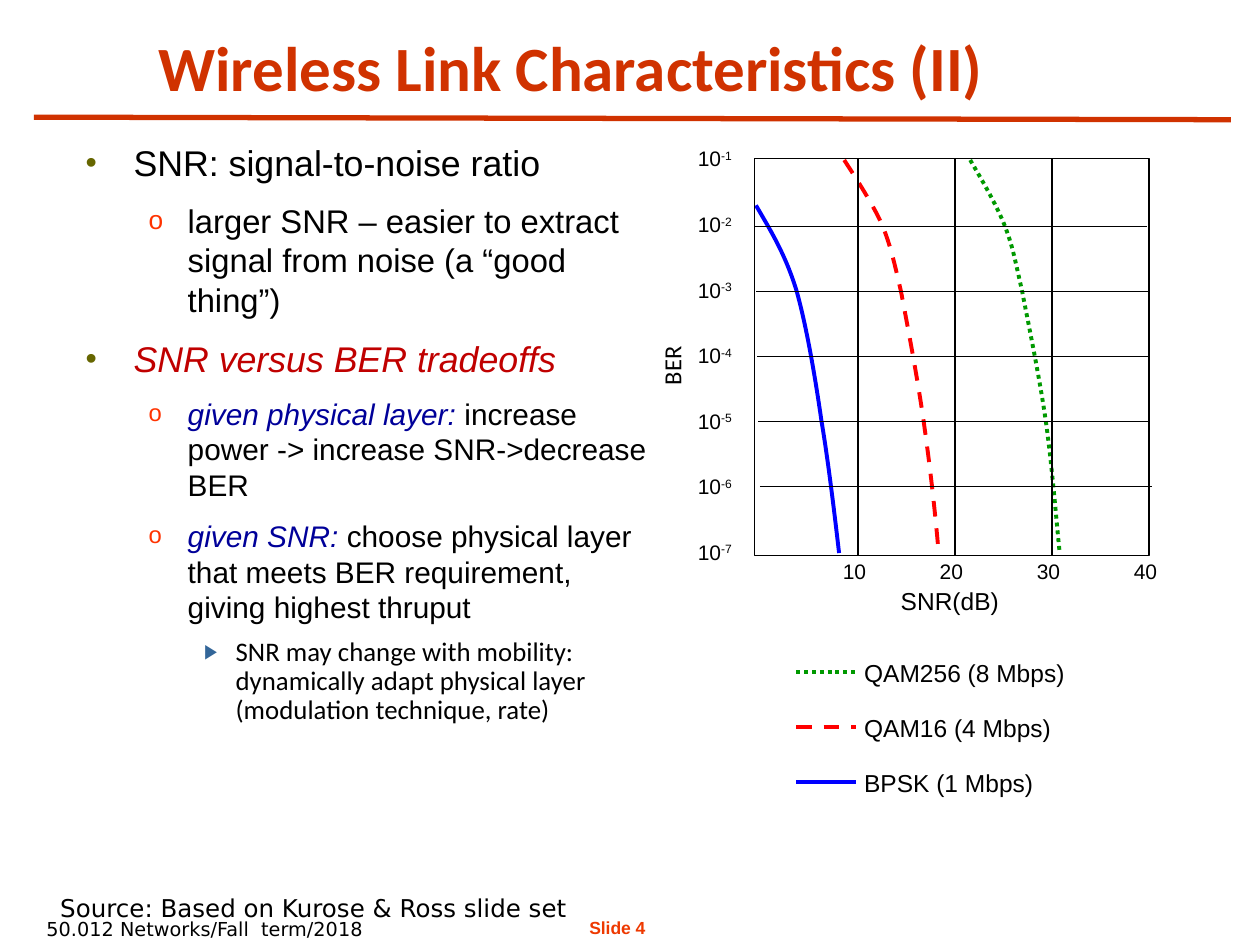
from dataclasses import dataclass
from pptx import Presentation, util as u
from pptx.dml.color import RGBColor
from pptx.enum import dml, shapes, text
from pptx.oxml.ns import qn
from lxml import etree

SCALE = 9144  # EMU in one px, 100 px to the inch


@dataclass(frozen=True)
class Theme:
    sans: str = "Arial"
    heading: str = "Calibri"
    footer: str = "DejaVu Sans"
    ink: str = "000000"
    title: str = "D03200"
    slide_no: str = "EE3900"
    stress: str = "C00000"
    term: str = "000099"
    title_size: float = 36
    label_size: float = 14
    tick_size: float = 12
    footer_size: float = 11
    slide_no_size: float = 10
    curve_width: float = 2.25
    grid_width: float = 0.75


T = Theme()

# Bullet levels: left margin and indent in px, sign, colour, percent
BULLETS = [
    (38, -38, "•", "666600", 90),
    (81, -31, "o", "FF3300", 80),
    (119, -25, "▶", "336699", 75),
]

# Body: level, size, space before, font, line spacing, runs (words, colour, italic)
POINTS = [
    (0, 20.4, 0, T.sans, 1.0, [("SNR: signal-to-noise ratio", T.ink, False)]),
    (1, 18.7, 9.6, T.sans, 1.0, [
        ("larger SNR – easier to extract signal from noise (a “good thing”)", T.ink, False)]),
    (0, 20.4, 10.5, T.sans, 1.0, [("SNR versus BER tradeoffs", T.stress, True)]),
    (1, 17, 8.8, T.sans, 1.0, [
        ("given physical layer:", T.term, True),
        (" increase power -> increase SNR->decrease BER", T.ink, False)]),
    (1, 17, 8.8, T.sans, 1.0, [
        ("given SNR:", T.term, True),
        (" choose physical layer that meets BER requirement, giving highest thruput",
         T.ink, False)]),
    (2, 15.3, 7.9, T.heading, 0.9, [
        ("SNR may change with mobility: dynamically adapt physical layer "
         "(modulation technique, rate)", T.ink, False)]),
]

# Modulations: label, colour, dash, Bezier points from the plot's corner
MODULATIONS = [
    ("QAM256 (8 Mbps)", "009900", dml.MSO_LINE.ROUND_DOT,
     [(171, 1), (181, 18), (191, 35), (198, 52), (205, 70), (206, 78), (212, 104),
      (217, 130), (226, 173), (231, 208), (236, 243), (240, 294), (242, 312)]),
    ("QAM16 (4 Mbps)", "FF0000", dml.MSO_LINE.DASH,
     [(71, 1), (82, 18), (93, 35), (101, 52), (108, 70), (110, 79), (116, 105),
      (121, 131), (129, 173), (134, 208), (139, 243), (143, 278), (146, 313)]),
    ("BPSK (1 Mbps)", "0000FF", None,
     [(1, 37), (12, 56), (24, 75), (33, 104), (41, 132), (48, 173), (53, 208),
      (59, 243), (65, 296), (67, 313)]),
]


def px(*lengths):
    return [u.Emu(round(n * SCALE)) for n in lengths]


def set_font(font, color, **values):
    for key, value in values.items():
        setattr(font, key, u.Pt(value) if key == "size" else value)
    font.color.rgb = RGBColor.from_string(color)


def set_line(line, color, width, dash=None):
    line.color.rgb = RGBColor.from_string(color)
    line.width = u.Pt(width)
    if dash:
        line.dash_style = dash


def place(shape, box):
    for key, value in zip(("left", "top", "width", "height"), px(*box)):
        setattr(shape, key, value)


def add_line(slide, start, end, color=T.ink, width=T.grid_width, dash=None):
    line = slide.shapes.add_connector(shapes.MSO_CONNECTOR.STRAIGHT, *px(*start, *end))
    set_line(line.line, color, width, dash)
    etree.SubElement(line._element.spPr, qn("a:effectLst"))


def add_label(slide, box, words, size, face=T.sans, color=T.ink, bold=False,
              wrap=False, power="", turn=0, align=text.PP_ALIGN.LEFT):
    label = slide.shapes.add_textbox(*px(*box))
    label.rotation = turn
    frame = label.text_frame
    frame.word_wrap = wrap
    frame.auto_size = text.MSO_AUTO_SIZE.SHAPE_TO_FIT_TEXT
    paragraph = frame.paragraphs[0]
    paragraph.alignment = align
    for part in filter(None, (words, power)):
        run = paragraph.add_run()
        run.text = part
        set_font(run.font, color, name=face, size=size, bold=bold)
    if power:
        run._r.get_or_add_rPr().set("baseline", "30000")


def add_bullet(paragraph, level):
    margin, indent, sign, color, percent = BULLETS[level]
    props = paragraph._p.get_or_add_pPr()
    props.set("marL", str(margin * SCALE))
    props.set("indent", str(indent * SCALE))
    tint = etree.SubElement(props, qn("a:buClr"))
    etree.SubElement(tint, qn("a:srgbClr"), val=color)
    etree.SubElement(props, qn("a:buSzPct"), val=str(percent * 1000))
    etree.SubElement(props, qn("a:buFont"), typeface=T.sans)
    etree.SubElement(props, qn("a:buChar"), char=sign)


def add_curve(slide, knots, color, dash):
    start, *rest = [px(*knot) for knot in knots]
    builder = slide.shapes.build_freeform(*start)
    builder.add_line_segments(rest, close=False)
    curve = builder.convert_to_shape()
    # Join every three points into one cubic Bezier piece
    steps = list(curve._element.iter(qn("a:lnTo")))
    outline = steps[0].getparent()
    for i in range(0, len(steps), 3):
        piece = etree.SubElement(outline, qn("a:cubicBezTo"))
        for step in steps[i:i + 3]:
            piece.append(step[0])
            outline.remove(step)
    curve.shadow.inherit = False
    curve.fill.background()
    set_line(curve.line, color, T.curve_width, dash)


def build_header(slide, box):
    title = slide.shapes.title
    place(title, box)
    frame = title.text_frame
    frame.text = "Wireless Link Characteristics (II)"
    frame.auto_size = text.MSO_AUTO_SIZE.NONE
    frame.vertical_anchor = text.MSO_ANCHOR.BOTTOM
    frame.paragraphs[0].alignment = text.PP_ALIGN.CENTER
    set_font(frame.paragraphs[0].runs[0].font, T.title,
             name=T.heading, size=T.title_size, bold=True)
    x, y = box[:2]
    add_line(slide, (x - 1, y + 72), (x + 949, y + 74), T.title, 3)


def build_points(slide, box):
    body = slide.placeholders[1]
    place(body, box)
    frame = body.text_frame
    frame.auto_size = text.MSO_AUTO_SIZE.NONE
    for i, (level, size, before, face, spacing, runs) in enumerate(POINTS):
        paragraph = frame.add_paragraph() if i else frame.paragraphs[0]
        add_bullet(paragraph, level)
        values = dict(level=level, space_before=u.Pt(before), line_spacing=spacing)
        for key, value in values.items():
            setattr(paragraph, key, value)
        for words, color, italic in runs:
            run = paragraph.add_run()
            run.text = words
            set_font(run.font, color, name=face, size=size, italic=italic)


def build_plot(slide, box):
    x, y, w, h = box
    # Curves
    for _, color, dash, knots in MODULATIONS:
        add_curve(slide, [(x + a, y + b) for a, b in knots], color, dash)
    # Frame and grid
    border = slide.shapes.add_shape(shapes.MSO_SHAPE.RECTANGLE, *px(*box))
    border.shadow.inherit = False
    border.fill.background()
    set_line(border.line, T.ink, T.grid_width)
    for i in range(5):
        row = y + 54 + 51.6 * i
        add_line(slide, (x + i, row), (x + i + 311, row))
    for i in range(3):
        column = x + 82 + 77 * i
        add_line(slide, (column, y), (column, y + h))
    # Ticks and axis names
    for i in range(4):
        add_label(slide, (x + 60 + 77 * i, y + 312, 42, 30), str(10 * (i + 1)), T.tick_size)
    for i in range(7):
        add_label(slide, (x - 55, y - 15 + 52 * i, 47, 30), "10", T.tick_size, power=f"-{i + 1}")
    add_label(slide, (x + 106, y + 334, 98, 34), "SNR(dB)", T.label_size)
    add_label(slide, (x - 93, y + 145, 55, 34), "BER", T.label_size, T.heading, turn=270)


def build_legend(slide, box):
    x, y, w, h = box
    step = h / len(MODULATIONS)
    for i, (name, color, dash, _) in enumerate(MODULATIONS):
        top = y + i * step
        add_line(slide, (x, top + 16), (x + 47, top + 16), color, T.curve_width, dash)
        add_label(slide, (x + 44, top, w - 44, 34), name, T.label_size)


def build_footer(slide, box):
    x, y = box[:2]
    add_label(slide, (x + 401, y + 19, 124, 27), "Slide 4", T.slide_no_size,
              color=T.slide_no, bold=True, align=text.PP_ALIGN.CENTER)
    add_label(slide, (x, y + 19, 292, 29), "50.012 Networks/Fall  term/2018",
              T.footer_size, T.footer, wrap=True)
    add_label(slide, (x + 11, y, 467, 34), "Source: Based on Kurose & Ross slide set",
              T.label_size, T.footer, wrap=True)


def main():
    deck = Presentation()
    deck.slide_width, deck.slide_height = px(1000, 750)
    slide = deck.slides.add_slide(deck.slide_layouts[1])
    build_header(slide, (28, 21, 850, 67))
    build_points(slide, (58, 107, 468, 568))
    build_plot(slide, (599, 126, 313, 315))
    build_legend(slide, (632, 517, 228, 132))
    build_footer(slide, (27, 704, 525, 48))
    deck.save("out.pptx")


if __name__ == "__main__":
    main()
